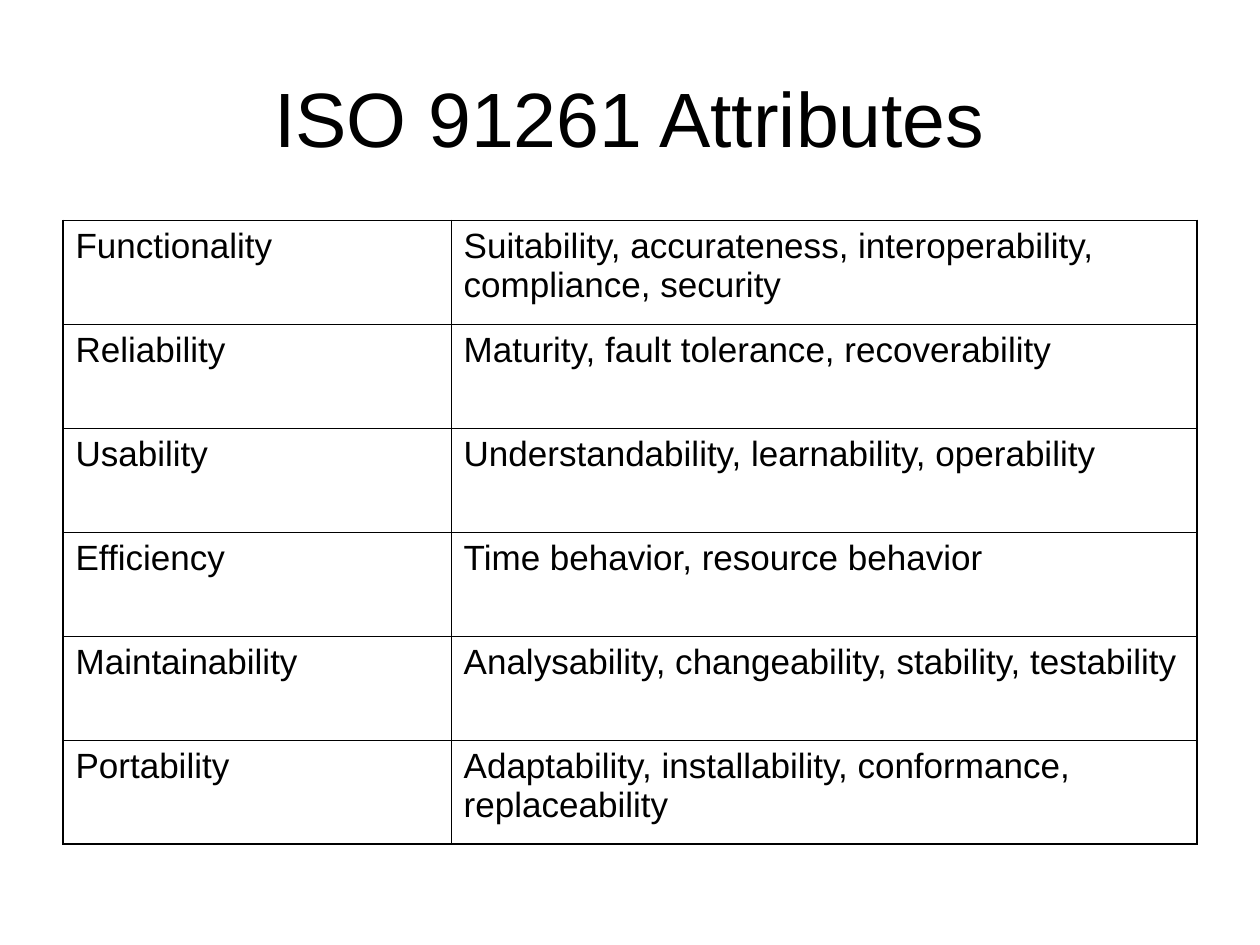
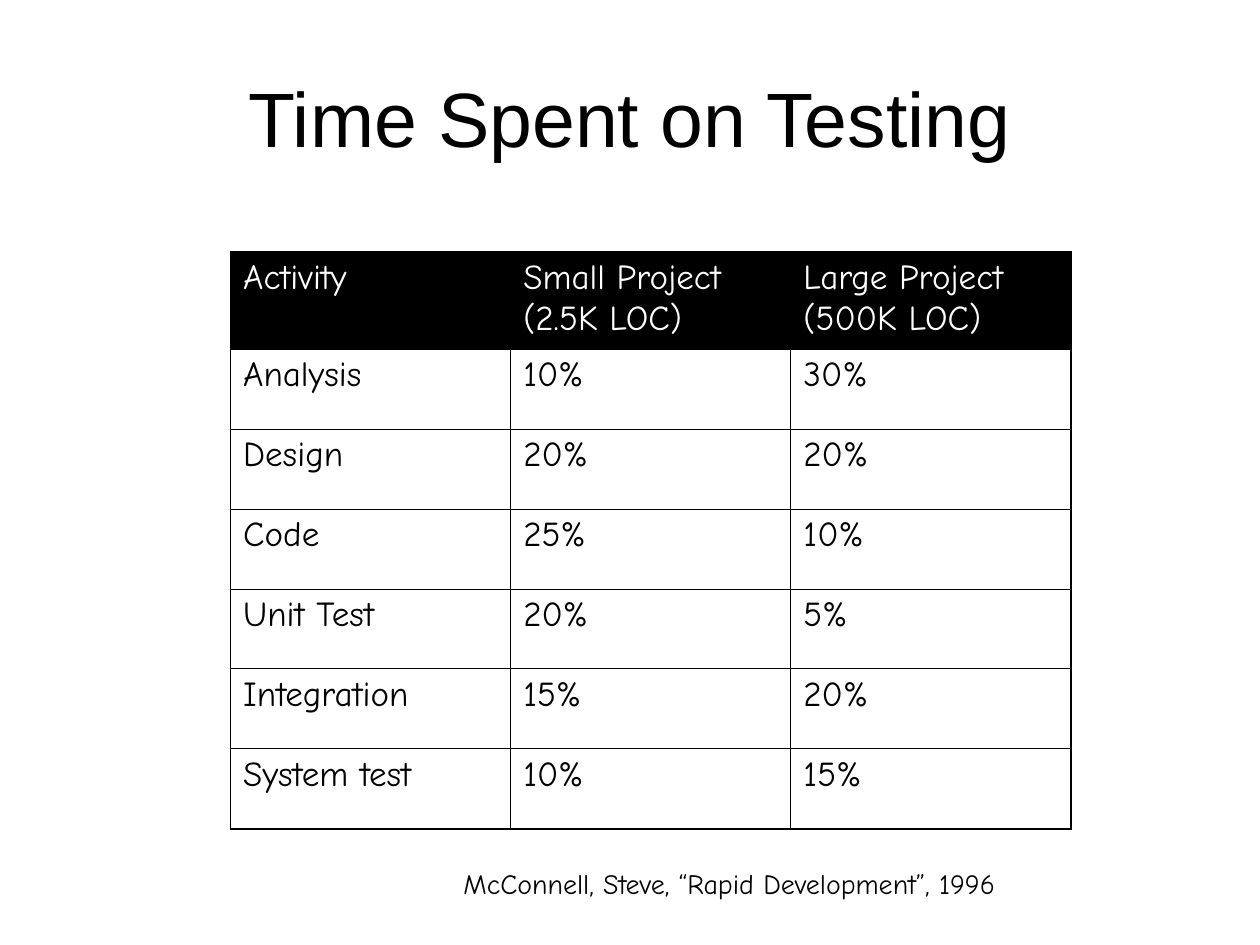
from lxml import etree
from pptx import Presentation
from pptx.dml.color import RGBColor
from pptx.enum.text import MSO_ANCHOR, MSO_AUTO_SIZE, PP_ALIGN
from pptx.oxml.ns import qn
from pptx.util import Inches, Pt

MIDDLE = MSO_ANCHOR.MIDDLE
CENTER = PP_ALIGN.CENTER
GROW = MSO_AUTO_SIZE.SHAPE_TO_FIT_TEXT

BLACK, WHITE = "000000", "FFFFFF"
SANS, HAND = "Arial", "Comic Neue"
TITLE_ONLY = 5
OUTER, INNER = 1.08, 0.45

ATTRIBUTES = [
    ("Functionality", "Suitability, accurateness, interoperability, compliance, security"),
    ("Reliability", "Maturity, fault tolerance, recoverability"),
    ("Usability", "Understandability, learnability, operability"),
    ("Efficiency", "Time behavior, resource behavior"),
    ("Maintainability", "Analysability, changeability, stability, testability"),
    ("Portability", "Adaptability, installability, conformance, replaceability"),
]
TIME_SHARES = [
    ("Activity", "Small Project (2.5K LOC)", "Large Project (500K LOC)"),
    ("Analysis", "10%", "30%"),
    ("Design", "20%", "20%"),
    ("Code", "25%", "10%"),
    ("Unit Test", "20%", "5%"),
    ("Integration", "15%", "20%"),
    ("System test", "10%", "15%"),
]

# title, rows, left, top, column widths, row heights, font, has a header row
PAGES = [
    ("ISO 91261 Attributes", ATTRIBUTES, 0.5, 1.75,
     [3.08, 5.92], [4.95 / 6] * 6, SANS, False),
    ("Time Spent on Testing", TIME_SHARES, 1.83, 2,
     [6.67 / 3] * 3, [0.77] + [3.81 / 6] * 6, HAND, True),
]


def rgb(color):
    """Turn a hex string into a colour."""
    return RGBColor.from_string(color)


def add_run(paragraph, text, size, font, color=BLACK):
    """Append one formatted run to a paragraph."""
    run = paragraph.add_run()
    run.text = text
    run.font.size = Pt(size)
    run.font.name = font
    run.font.color.rgb = rgb(color)


prs = Presentation()
prs.slide_width, prs.slide_height = Inches(10), Inches(7.5)

for heading, rows, left, top, widths, heights, font, has_header in PAGES:
    slide = prs.slides.add_slide(prs.slide_layouts[TITLE_ONLY])

    title = slide.shapes.title
    title.left, title.top = Inches(0.5), Inches(0.3)
    title.width, title.height = Inches(9), Inches(1.25)
    title.text_frame.vertical_anchor = MIDDLE
    title_line = title.text_frame.paragraphs[0]
    title_line.alignment = CENTER
    add_run(title_line, heading, 44, SANS)

    table = slide.shapes.add_table(
        len(rows), len(widths), Inches(left), Inches(top),
        Inches(sum(widths)), Inches(sum(heights))).table
    table.first_row = has_header
    table.horz_banding = False
    for column, width in zip(table.columns, widths):
        column.width = Inches(width)
    for row, height in zip(table.rows, heights):
        row.height = Inches(height)

    last_row, last_col = len(rows) - 1, len(widths) - 1
    for r, values in enumerate(rows):
        in_header = has_header and r == 0
        for c, value in enumerate(values):
            cell = table.cell(r, c)
            cell.margin_left = cell.margin_right = Inches(0.1)
            cell.margin_top = cell.margin_bottom = Inches(0.05)

            # The frame is heavier than the rules between the cells.
            on_frame = {"L": c == 0, "R": c == last_col,
                        "T": r == 0, "B": r == last_row}
            properties = cell._tc.get_or_add_tcPr()
            for side, framed in on_frame.items():
                border = etree.SubElement(properties, qn("a:ln" + side))
                border.set("w", str(int(Pt(OUTER if framed else INNER))))
                solid = etree.SubElement(border, qn("a:solidFill"))
                etree.SubElement(solid, qn("a:srgbClr")).set("val", BLACK)

            if in_header:
                cell.fill.solid()
                cell.fill.fore_color.rgb = rgb(BLACK)
            else:
                cell.fill.background()

            entry = cell.text_frame.paragraphs[0]
            entry.space_before = Pt(5)
            add_run(entry, value, 20, font, WHITE if in_header else BLACK)
            entry.runs[0].font.bold = False

# The citation stands below the table of the last slide.
citation = slide.shapes.add_textbox(
    Inches(3.58), Inches(6.83), Inches(5.58), Inches(0.37)).text_frame
citation.word_wrap = True
citation.auto_size = GROW
citation_line = citation.paragraphs[0]
citation_line.space_before = Pt(10)
add_run(citation_line, "McConnell, Steve, “Rapid Development”, 1996", 16, HAND)

prs.save("out.pptx")
